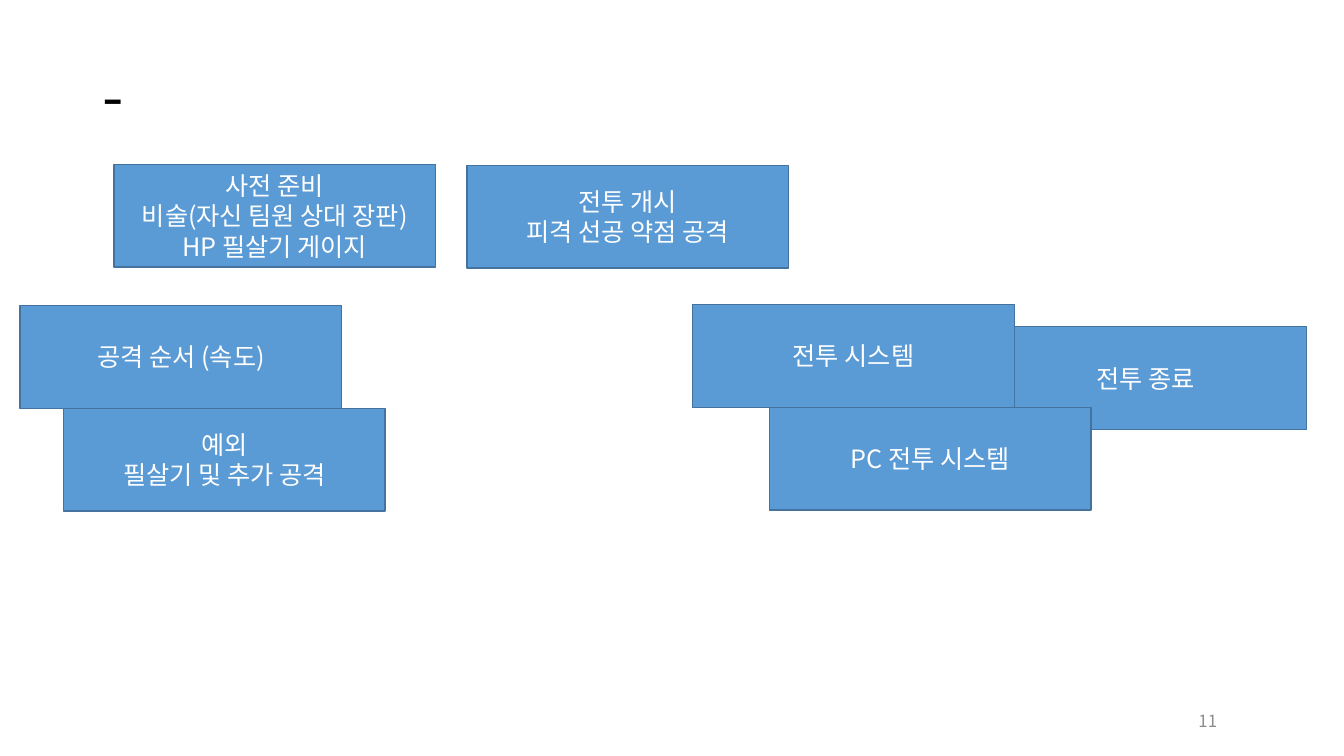
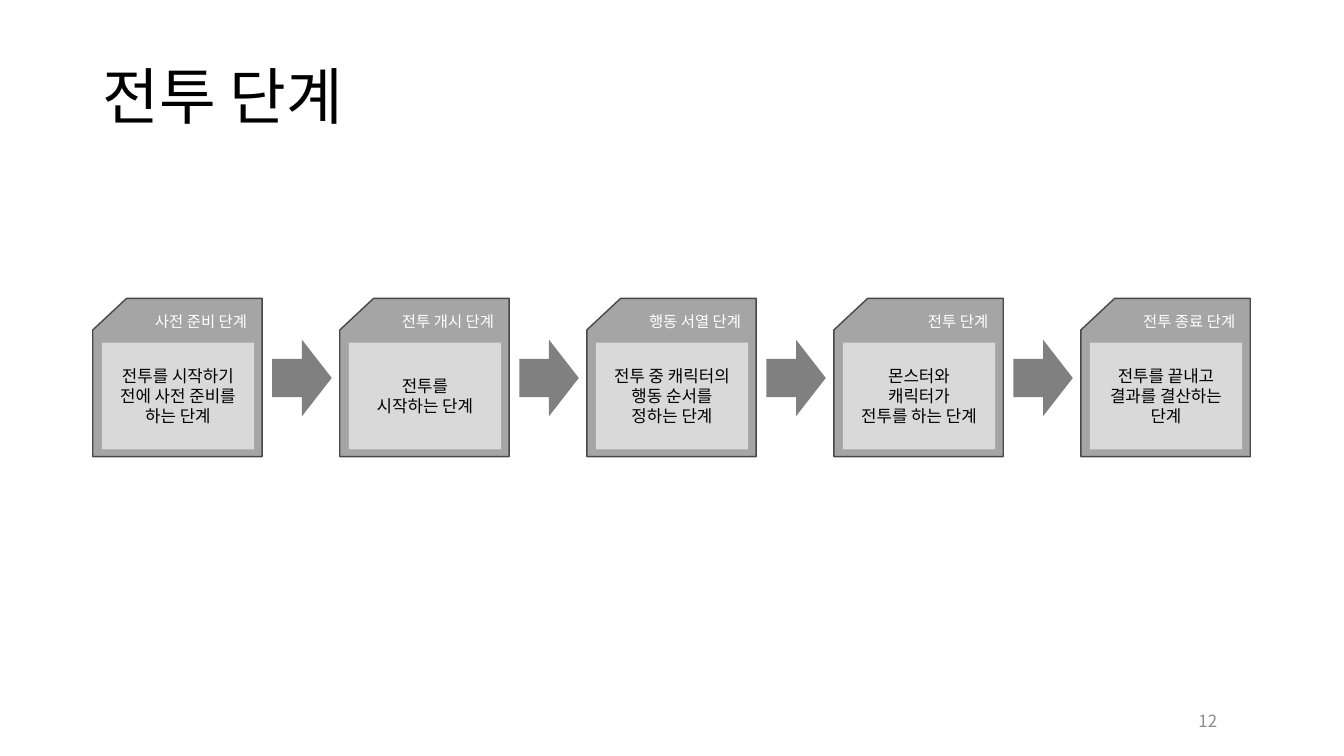
from lxml import etree
from pptx import Presentation
from pptx.dml.color import RGBColor
from pptx.enum import shapes, text
from pptx.oxml import ns
from pptx.util import Inches, Pt

FONT = "Noto Sans CJK KR"
WHITE, BLACK, NUMBER = "FFFFFF", "000000", "8C8C8C"
BLUE, BLUE_LINE = "5B9BD5", "43739E"
CARD, CARD_LINE, PANEL, ARROW = "A5A5A5", "484848", "D9D9D9", "808080"
LEFT, CENTER, RIGHT = text.PP_ALIGN.LEFT, text.PP_ALIGN.CENTER, text.PP_ALIGN.RIGHT
SHAPE = shapes.MSO_SHAPE


def add_text(sp, content, size=18, color=WHITE, align=CENTER, spacing=1.0):
    tf = sp.text_frame
    tf.word_wrap = True
    tf.vertical_anchor = text.MSO_ANCHOR.MIDDLE
    for i, line in enumerate(content.split("\n")):
        p = tf.add_paragraph() if i else tf.paragraphs[0]
        p.alignment = align
        p.line_spacing = spacing
        r = p.add_run()
        r.text = line
        r.font.name = FONT
        r.font.size = Pt(size)
        r.font.color.rgb = RGBColor.from_string(color)
        ea = etree.SubElement(r.font._element, ns.qn("a:ea"))
        ea.set("typeface", FONT)


def add_box(parent, kind, x, y, w, h, fill, line=None):
    sp = parent.add_shape(kind, Inches(x), Inches(y), Inches(w), Inches(h))
    sp.shadow.inherit = False
    sp.fill.solid()
    sp.fill.fore_color.rgb = RGBColor.from_string(fill)
    if line:
        sp.line.color.rgb = RGBColor.from_string(line)
        sp.line.width = Pt(1)
    else:
        sp.line.fill.background()
    return sp


prs = Presentation()
prs.slide_width, prs.slide_height = Inches(13.33), Inches(7.5)

slides = []
for title, number in [("-", "11"), ("전투 단계", "12")]:
    s = prs.slides.add_slide(prs.slide_layouts[6])
    sp = s.shapes.add_textbox(Inches(0.92), Inches(0.4), Inches(11.5), Inches(1.17))
    add_text(sp, title, size=44, color=BLACK, align=LEFT, spacing=0.9)
    sp = s.shapes.add_textbox(Inches(9.17), Inches(6.95), Inches(3), Inches(0.4))
    add_text(sp, number, size=12, color=NUMBER, align=RIGHT)
    slides.append(s)
ideas, stages = slides

for x, y, content in [
    (1.13, 1.63, "사전 준비\n비술(자신 팀원 상대 장판) HP 필살기 게이지"),
    (4.63, 1.64, "전투 개시\n피격 선공 약점 공격"),
    (0.2, 3.03, "공격 순서 (속도)"),
    (0.63, 4.05, "예외\n필살기 및 추가 공격"),
    (9.77, 3.24, "전투 종료"),
    (6.87, 3.02, "전투 시스템"),
    (7.63, 4.04, "PC 전투 시스템"),
]:
    sp = add_box(ideas.shapes, SHAPE.RECTANGLE, x, y, 3.19, 1.02, BLUE, BLUE_LINE)
    add_text(sp, content)

cards = [
    ("사전 준비 단계", "전투를 시작하기 전에 사전 준비를 하는 단계"),
    ("전투 개시 단계", "전투를\n시작하는 단계"),
    ("행동 서열 단계", "전투 중 캐릭터의 행동 순서를\n정하는 단계"),
    ("전투 단계", "몬스터와\n캐릭터가\n전투를 하는 단계"),
    ("전투 종료 단계", "전투를 끝내고\n결과를 결산하는 단계"),
]
for i, (label, content) in enumerate(cards):
    x = 0.92 + 2.45 * i
    group = stages.shapes.add_group_shape().shapes
    add_box(group, SHAPE.FLOWCHART_CARD, x, 2.96, 1.68, 1.57, CARD, CARD_LINE)
    sp = group.add_textbox(Inches(x + 0.38), Inches(3.03), Inches(1.25), Inches(0.31))
    add_text(sp, label, size=11, align=RIGHT)
    sp = add_box(group, SHAPE.RECTANGLE, x + 0.09, 3.4, 1.51, 1.06, PANEL)
    add_text(sp, content, size=12, color=BLACK)
    if i < len(cards) - 1:
        add_box(stages.shapes, SHAPE.RIGHT_ARROW, x + 1.78, 3.37, 0.59, 0.76, ARROW)

prs.save("out.pptx")
